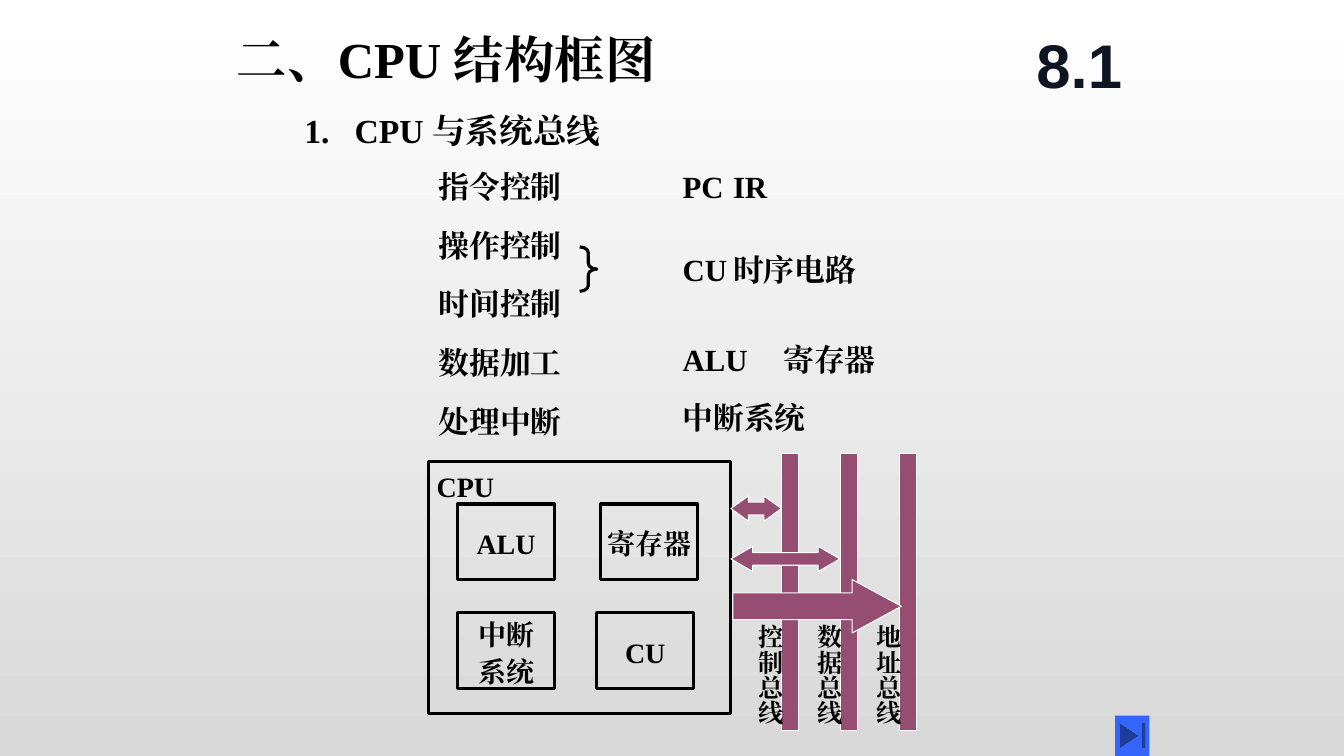
import pptx
import pptx.util
import pptx.dml.color
import pptx.enum.shapes
import pptx.enum.text
import pptx.oxml.ns
from dataclasses import dataclass
from lxml import etree

Inches = pptx.util.Inches
SHAPE = pptx.enum.shapes.MSO_SHAPE
ALIGN = pptx.enum.text.PP_ALIGN
ANCHOR = pptx.enum.text.MSO_ANCHOR
qn = pptx.oxml.ns.qn


@dataclass
class Theme:
    ink: str = "000000"
    number: str = "0F1423"
    bus: str = "954D72"
    edge: str = "FFFFFF"
    button: str = "3366FF"
    bottom: str = "D9D9D9"
    serif: str = "Times New Roman"
    sans: str = "Arial"
    title: int = 36
    heading: int = 24
    body: int = 22
    block: int = 20
    label: int = 18
    section: int = 44


T = Theme()


def rgb(value):
    return pptx.dml.color.RGBColor.from_string(value)


def write(sp, text, size, at=None, font=T.serif, color=T.ink, align=ALIGN.LEFT,
          anchor=ANCHOR.TOP, inset=(0.1, 0.05), wrap=True, leading=1.1, gaps=(), tabs=()):
    """Fill a shape with one paragraph per line; gaps are points above each line."""
    if at:
        sp.left, sp.top, sp.width, sp.height = [Inches(v) for v in at]
    tf = sp.text_frame
    tf.auto_size = pptx.enum.text.MSO_AUTO_SIZE.NONE
    tf.word_wrap, tf.vertical_anchor = wrap, anchor
    tf.margin_left = tf.margin_right = Inches(inset[0])
    tf.margin_top = tf.margin_bottom = Inches(inset[1])
    for i, line in enumerate(text.split("\n")):
        p = tf.paragraphs[0] if i == 0 else tf.add_paragraph()
        pPr = p._p.get_or_add_pPr()
        pPr.set("marL", "0")
        pPr.set("indent", "0")
        etree.SubElement(pPr, qn("a:buNone"))
        if i < len(tabs) and tabs[i]:
            stops = etree.SubElement(pPr, qn("a:tabLst"))
            etree.SubElement(stops, qn("a:tab"), pos=str(Inches(tabs[i])), algn="l")
        p.alignment, p.line_spacing = align, leading
        p.space_before = pptx.util.Pt(gaps[i] if i < len(gaps) else 0)
        p.space_after = pptx.util.Pt(0)
        r = p.add_run()
        r.text = line
        r.font.name, r.font.size, r.font.bold = font, pptx.util.Pt(size), True
        r.font.color.rgb = rgb(color)
        etree.SubElement(r._r.get_or_add_rPr(), qn("a:ea"), typeface=font)


prs = pptx.Presentation()
prs.slide_width, prs.slide_height = Inches(13.33), Inches(7.5)
s = prs.slides.add_slide(prs.slide_layouts[3])

# Background gradient, white at the top
fill = s.background.fill
fill.gradient()
fill.gradient_angle = 270
for stop, color, position in zip(fill.gradient_stops, (T.edge, T.bottom), (0, 1)):
    stop.color.rgb, stop.position = rgb(color), position

# Title, section number and heading
write(s.shapes.title, "二、CPU 结构框图", T.title, at=(2.25, 0.17, 6.25, 0.71))
sp = s.shapes.add_textbox(0, 0, 0, 0)
write(sp, "8.1", T.section, at=(10.08, 0.17, 1.25, 0.92), font=T.sans, color=T.number,
      align=ALIGN.CENTER, anchor=ANCHOR.MIDDLE, leading=1)
sp = s.shapes.add_textbox(0, 0, 0, 0)
write(sp, "1.\tCPU 与系统总线", T.heading, at=(2.92, 1, 3.5, 0.5), tabs=[0.41])

# Functions on the left, the units that carry them out on the right
line_height = T.body * 1.107 * 1.1
write(s.placeholders[1], "指令控制\n操作控制\n时间控制\n数据加工\n处理中断", T.body,
      at=(4.25, 1.58, 1.5, 2.67), gaps=[0] + [0.55 * 72 - line_height] * 4)
write(s.placeholders[2], "PC\tIR\nCU\t时序电路\nALU\t寄存器\n中断系统", T.body,
      at=(6.67, 1.58, 3, 2.67), tabs=[0.63, 0.73, 0.86],
      gaps=[0] + [step * 72 - line_height for step in (0.79, 0.86, 0.55)])

# Outlined shapes: brace, CPU frame and its four units
outlines = [
    (SHAPE.RIGHT_BRACE, 5.75, 2.45, 0.17, 0.44, ""),
    (SHAPE.RECTANGLE, 4.25, 4.58, 3, 2.5, "CPU"),
    (SHAPE.RECTANGLE, 4.54, 5, 0.96, 0.75, "ALU"),
    (SHAPE.RECTANGLE, 5.96, 5, 0.96, 0.75, "寄存器"),
    (SHAPE.RECTANGLE, 4.54, 6.08, 0.96, 0.75, "中断\n系统"),
    (SHAPE.RECTANGLE, 5.92, 6.08, 0.96, 0.75, "CU"),
]
for kind, x, y, w, h, text in outlines:
    sp = s.shapes.add_shape(kind, Inches(x), Inches(y), Inches(w), Inches(h))
    sp.shadow.inherit = False
    sp.fill.background()
    sp.line.color.rgb, sp.line.width = rgb(T.ink), pptx.util.Pt(2.25)
    if kind == SHAPE.RIGHT_BRACE:
        sp.adjustments[0] = 0.33
    elif text == "CPU":
        write(sp, text, T.block, inset=(0.08, 0.04), anchor=ANCHOR.TOP)
    else:
        write(sp, text, T.block, inset=(0, 0), anchor=ANCHOR.MIDDLE, align=ALIGN.CENTER)

# Buses, the arrows to them, and the button
buses = ["控制总线", "数据总线", "地址总线"]
bus_x = [7.75 + 0.585 * i for i in range(len(buses))]
solids = [(SHAPE.RECTANGLE, x, 4.5, 0.17, 2.75, (), T.bus) for x in bus_x] + [
    (SHAPE.LEFT_RIGHT_ARROW, 7.25, 4.92, 0.5, 0.25, (0.51, 0.69), T.bus),
    (SHAPE.LEFT_RIGHT_ARROW, 7.25, 5.42, 1.08, 0.25, (0.5, 0.86), T.bus),
    (SHAPE.RIGHT_ARROW, 7.27, 5.75, 1.67, 0.53, (0.5, 0.92), T.bus),
    (SHAPE.ACTION_BUTTON_END, 11.06, 7.1, 0.34, 0.4, (), T.button),
]
for kind, x, y, w, h, adjustments, color in solids:
    sp = s.shapes.add_shape(kind, Inches(x), Inches(y), Inches(w), Inches(h))
    sp.shadow.inherit = False
    sp.fill.solid()
    sp.fill.fore_color.rgb = rgb(color)
    if color == T.bus:
        sp.line.color.rgb, sp.line.width = rgb(T.edge), pptx.util.Pt(0.75)
    else:
        sp.line.fill.background()
    for i, value in enumerate(adjustments):
        sp.adjustments[i] = value

# Vertical bus names
for x, name in zip(bus_x, buses):
    sp = s.shapes.add_textbox(0, 0, 0, 0)
    write(sp, name, T.label, at=(x - 0.38, 6.1, 0.5, 1.1), inset=(0.1, 0.05), wrap=False)
    sp.text_frame._txBody.bodyPr.set("vert", "eaVert")

prs.save("out.pptx")
